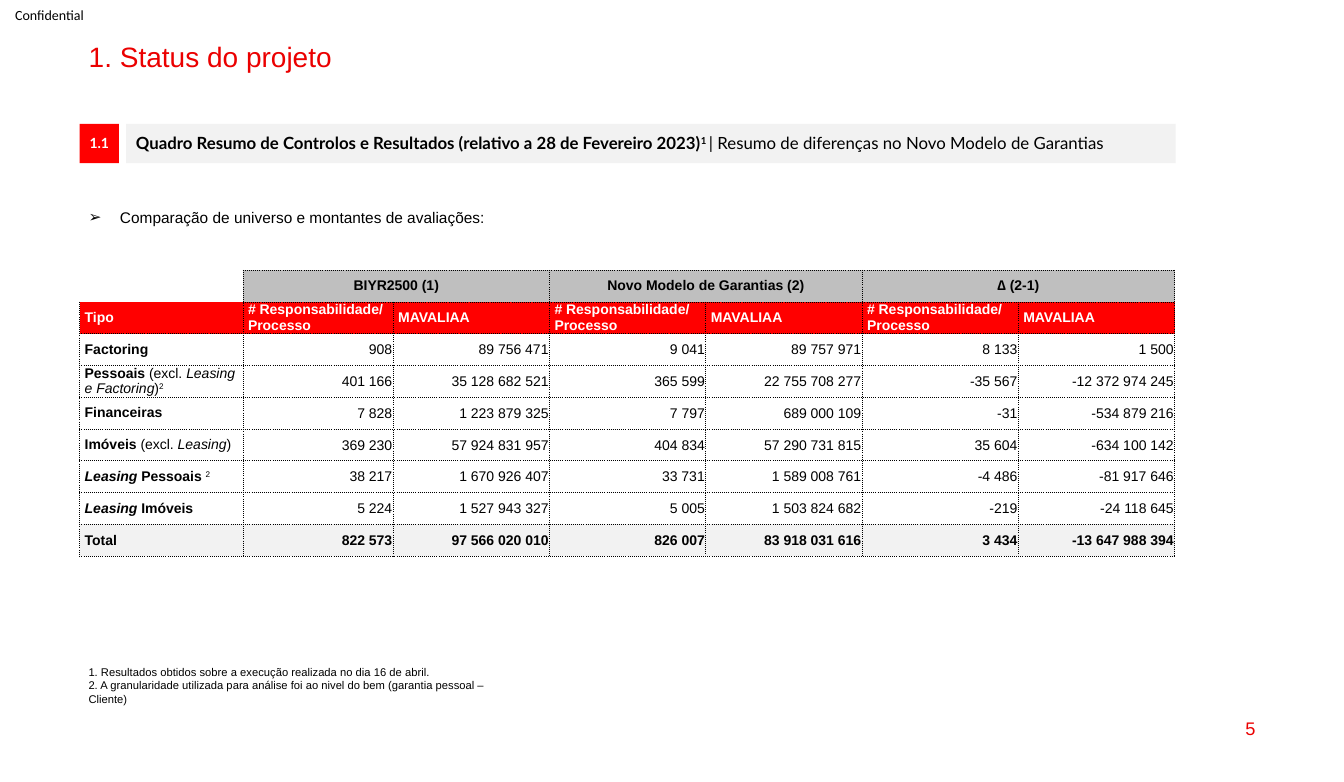
"""Builds the project status slide comparing guarantee valuations."""
import pptx
import pptx.dml.color
import pptx.enum.shapes
import pptx.enum.text
import pptx.oxml.ns
import pptx.util
import lxml.etree

Inches = pptx.util.Inches
ALIGN = pptx.enum.text.PP_ALIGN
ANCHOR = pptx.enum.text.MSO_ANCHOR

COLORS = {
    "black": "000000", "white": "FFFFFF", "title": "EB0000",
    "red": "FF0000", "gray": "BFBFBF", "pale": "F2F2F2",
}

HEADING = [[("1. Status do projeto", "")]]
SECTION_NUMBER = [[("1.1", "b")]]
SECTION_NAME = [[
    ("Quadro Resumo de Controlos e Resultados (relativo a 28 de Fevereiro 2023)", "b"),
    ("1 ", "bs"),
    ("| Resumo de diferenças no Novo Modelo de Garantias", ""),
]]
BULLET = [[("Comparação de universo e montantes de avaliações:", "")]]
FOOTNOTES = [
    [("1. Resultados obtidos sobre a execução realizada no dia 16 de abril.", "")],
    [("2. A granularidade utilizada para análise foi ao nivel do bem (garantia pessoal – Cliente)", "")],
]
CONFIDENTIAL = [[("Confidential", "")]]
PAGE_NUMBER = [[("5", "")]]

GROUPS = [
    [("BIYR2500 (1)", "b")],
    [("Novo Modelo de Garantias (2)", "b")],
    [("∆ ", "bi"), ("(2-1)", "b")],
]
TYPE_HEADER = [[("Tipo", "b")]]
MEASURES = [
    [[("# Responsabilidade/", "b")], [("Processo", "b")]],
    [[("MAVALIAA", "b")]],
]
ROWS = [
    ([("Factoring", "b")],
     ["908", "89 756 471", "9 041", "89 757 971", "8 133", "1 500"]),
    ([("Pessoais ", "b"), ("(excl. ", ""), ("Leasing e Factoring", "i"), (")", ""), ("2", "s")],
     ["401 166", "35 128 682 521", "365 599", "22 755 708 277", "-35 567", "-12 372 974 245"]),
    ([("Financeiras", "b")],
     ["7 828", "1 223 879 325", "7 797", "689 000 109", "-31", "-534 879 216"]),
    ([("Imóveis ", "b"), ("(excl. ", ""), ("Leasing", "i"), (")", "")],
     ["369 230", "57 924 831 957", "404 834", "57 290 731 815", "35 604", "-634 100 142"]),
    ([("Leasing", "bi"), (" Pessoais ", "b"), ("2", "s")],
     ["38 217", "1 670 926 407", "33 731", "1 589 008 761", "-4 486", "-81 917 646"]),
    ([("Leasing", "bi"), (" Imóveis", "b")],
     ["5 224", "1 527 943 327", "5 005", "1 503 824 682", "-219", "-24 118 645"]),
    ([("Total", "b")],
     ["822 573", "97 566 020 010", "826 007", "83 918 031 616", "3 434", "-13 647 988 394"]),
]
COLUMN_WIDTHS = [1.62, 1.49] + [1.55] * 5
TABLE_HEIGHT = 2.84
LABEL_MARGINS = (0.05, 0, 0.05, 0)
NUMBER_MARGINS = (0.01, 0.01, 0.01, 0)
BOX_MARGINS = (0.1, 0.05, 0.1, 0.05)


def rgb(name):
    return pptx.dml.color.RGBColor.from_string(COLORS[name])


def set_all(target, values):
    for name, value in values.items():
        setattr(target, name, value)


def set_margins(target, margins):
    for side, margin in zip(("left", "top", "right", "bottom"), margins):
        setattr(target, f"margin_{side}", Inches(margin))


def add_element(parent, tag, **attributes):
    element = lxml.etree.SubElement(parent, pptx.oxml.ns.qn(tag))
    for name, value in attributes.items():
        element.set(name, value)
    return element


def write(frame, paragraphs, size, color="black", font="Arial", **paragraph_format):
    for index, runs in enumerate(paragraphs):
        paragraph = frame.add_paragraph() if index else frame.paragraphs[0]
        set_all(paragraph, paragraph_format)
        for text, style in runs:
            run = paragraph.add_run()
            run.text = text
            set_all(run.font, {"name": font, "size": pptx.util.Pt(size),
                               "bold": "b" in style, "italic": "i" in style})
            run.font.color.rgb = rgb(color)
            if "s" in style:
                run.font._element.set("baseline", "30000")


def place(shape, box, anchor=ANCHOR.MIDDLE, margins=BOX_MARGINS):
    set_all(shape, dict(zip(("left", "top", "width", "height"), map(Inches, box))))
    frame = shape.text_frame
    set_all(frame, {"word_wrap": True, "vertical_anchor": anchor,
                    "auto_size": pptx.enum.text.MSO_AUTO_SIZE.NONE})
    set_margins(frame, margins)
    return frame


def add_text(slide, box, **layout):
    return place(slide.shapes.add_textbox(*map(Inches, box)), box, **layout)


def add_band(slide, box, color):
    band = slide.shapes.add_shape(pptx.enum.shapes.MSO_SHAPE.RECTANGLE, *map(Inches, box))
    band.shadow.inherit = False
    band.fill.solid()
    band.fill.fore_color.rgb = rgb(color)
    band.line.fill.background()
    return place(band, box)


def set_borders(cell, visible):
    properties = cell._tc.get_or_add_tcPr()
    for side in "LRTB":
        if side in visible:
            line = add_element(properties, f"a:ln{side}", w="6350")
            fill = add_element(line, "a:solidFill")
            add_element(fill, "a:srgbClr", val=COLORS["black"])
            add_element(line, "a:prstDash", val="sysDot")
        else:
            add_element(add_element(properties, f"a:ln{side}", w="0"), "a:noFill")


def fill_cell(cell, paragraphs, fill=None, margins=LABEL_MARGINS, borders="LRTB",
              color="black", alignment=ALIGN.LEFT):
    set_borders(cell, borders)
    if fill:
        cell.fill.solid()
        cell.fill.fore_color.rgb = rgb(fill)
    else:
        cell.fill.background()
    set_margins(cell, margins)
    cell.vertical_anchor = ANCHOR.MIDDLE
    write(cell.text_frame, paragraphs, 10, color, alignment=alignment)


def add_comparison_table(slide):
    row_count = len(ROWS) + 2
    table = slide.shapes.add_table(
        row_count, len(COLUMN_WIDTHS), Inches(0.79), Inches(2.68),
        Inches(sum(COLUMN_WIDTHS)), Inches(TABLE_HEIGHT)).table
    set_all(table, {"first_row": False, "horz_banding": False})
    for column, width in zip(table.columns, COLUMN_WIDTHS):
        column.width = Inches(width)
    for row in table.rows:
        row.height = Inches(TABLE_HEIGHT / row_count)

    fill_cell(table.cell(0, 0), [], borders="R")
    fill_cell(table.cell(1, 0), TYPE_HEADER, "red", borders="LRB", color="white")
    for group, title in enumerate(GROUPS):
        first = 1 + group * len(MEASURES)
        for offset, measure in enumerate(MEASURES):
            fill_cell(table.cell(0, first + offset), [] if offset else [title],
                      "gray", alignment=ALIGN.CENTER)
            fill_cell(table.cell(1, first + offset), measure, "red", color="white")
        table.cell(0, first).merge(table.cell(0, first + len(MEASURES) - 1))
    for row, (label, values) in enumerate(ROWS, 2):
        is_total = row == row_count - 1
        fill = "pale" if is_total else None
        fill_cell(table.cell(row, 0), [label], fill)
        for column, value in enumerate(values, 1):
            fill_cell(table.cell(row, column), [[(value, "b" if is_total else "")]],
                      fill, NUMBER_MARGINS, alignment=ALIGN.RIGHT)


def main():
    presentation = pptx.Presentation()
    set_all(presentation, {"slide_width": Inches(13.33), "slide_height": Inches(7.76)})
    slide = presentation.slides.add_slide(presentation.slide_layouts[1])

    heading = place(slide.shapes.title, (0.78, 0.38, 11.77, 0.34), ANCHOR.TOP)
    write(heading, HEADING, 20, "title", alignment=ALIGN.LEFT, line_spacing=0.9)

    bullet = place(slide.placeholders[1], (0.78, 2.01, 9.31, 0.29))
    properties = bullet.paragraphs[0]._p.get_or_add_pPr()
    indent = Inches(0.31)
    properties.set("marL", str(indent))
    properties.set("indent", str(-indent))
    add_element(properties, "a:buFont", typeface="Arial")
    add_element(properties, "a:buChar", char="➢")
    write(bullet, BULLET, 11, space_before=pptx.util.Pt(0))

    write(add_band(slide, (0.79, 1.23, 0.39, 0.39), "red"), SECTION_NUMBER, 10,
          "white", "Lato", alignment=ALIGN.CENTER, line_spacing=0.9)
    write(add_band(slide, (1.25, 1.23, 10.41, 0.39), "pale"), SECTION_NAME, 12,
          font="Lato", alignment=ALIGN.LEFT, line_spacing=0.9)
    add_comparison_table(slide)

    write(add_text(slide, (0, 0, 0.99, 0.29), margins=(0.15, 0, 0, 0)),
          CONFIDENTIAL, 10, font="Calibri")
    write(add_text(slide, (0.78, 6.6, 4.33, 0.5), anchor=ANCHOR.TOP,
                   margins=(0.1, 0, 0.1, 0)), FOOTNOTES, 8)
    write(add_text(slide, (9.55, 7.02, 3, 0.41)), PAGE_NUMBER, 13, "title",
          alignment=ALIGN.RIGHT)
    presentation.save("out.pptx")


if __name__ == "__main__":
    main()
